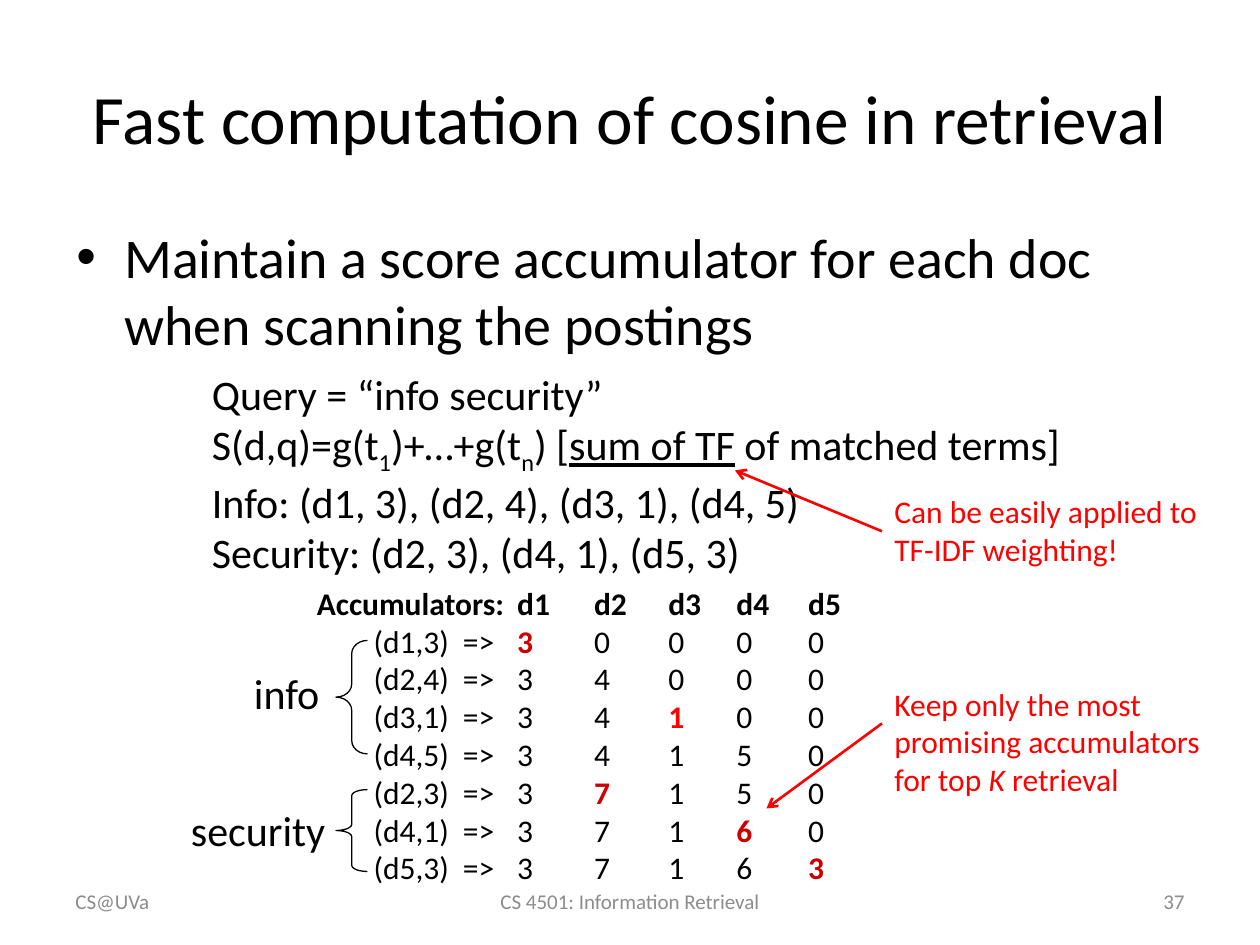
from lxml import etree
from pptx import Presentation
from pptx.dml.color import RGBColor
from pptx.enum.shapes import MSO_CONNECTOR, MSO_SHAPE
from pptx.enum.text import MSO_ANCHOR, PP_ALIGN
from pptx.oxml.ns import qn
from pptx.util import Inches, Pt

LEFT, MID, RIGHT = PP_ALIGN.LEFT, PP_ALIGN.CENTER, PP_ALIGN.RIGHT
TOP, CENTRE = MSO_ANCHOR.TOP, MSO_ANCHOR.MIDDLE
BRACE, LINE = MSO_SHAPE.LEFT_BRACE, MSO_CONNECTOR.STRAIGHT
BLACK, GREY, RED, DARK = "000000", "8C8C8C", "FF0000", "CC0000"
COLS, ROWS = 120, 90  # grid of the slide, twelve cells to the inch

# Postings in scan order: term, document, score, colour of the new total
SCANS = [
    ("info", 1, 3, DARK), ("info", 2, 4, None),
    ("info", 3, 1, RED), ("info", 4, 5, None),
    ("security", 2, 3, DARK), ("security", 4, 1, DARK),
    ("security", 5, 3, DARK),
]
DOCS = 5
TABS = [0.45, 1.16, 1.59, 2.2, 2.79, 3.33, 3.9]  # inches inside the text


def cell(n):
    return Inches(n / 12)


def paint(hue):
    return RGBColor.from_string(hue)


def add_sub(node, tag, **attrs):
    return etree.SubElement(node, qn(tag), attrs)


def add_text(slide, box, paras, size, hue=BLACK, align=LEFT, anchor=TOP):
    """Each paragraph is a list of (text, style) runs."""
    frame = slide.shapes.add_textbox(*map(cell, box)).text_frame
    frame.word_wrap = True
    frame.vertical_anchor = anchor
    for i, runs in enumerate(paras):
        para = frame.paragraphs[0] if i == 0 else frame.add_paragraph()
        para.alignment = align
        font = para.font
        font.name, font.size = "Calibri", Pt(size)
        font.color.rgb = paint(hue)
        for text, style in runs:
            run = para.add_run()
            run.text = text
            if "hue" in style:
                run.font.color.rgb = paint(style["hue"])
            if "base" in style:
                run.font._element.set("baseline", style["base"])
            for key in ("bold", "italic", "underline"):
                if key in style:
                    setattr(run.font, key, style[key])
    return frame


def add_arrow(slide, start, end):
    arrow = slide.shapes.add_connector(LINE, *map(cell, start + end))
    arrow.line.color.rgb = paint(RED)
    arrow.line.width = Pt(1.5)
    add_sub(arrow.line._get_or_add_ln(), "a:tailEnd", type="arrow")
    add_sub(arrow._element.spPr, "a:effectLst")


def add_bullet(slide, box, text):
    para = add_text(slide, box, [[(text, {})]], 32).paragraphs[0]
    props = para._p.get_or_add_pPr()
    props.set("marL", str(Inches(0.38)))
    props.set("indent", str(-Inches(0.38)))
    font = props.find(qn("a:defRPr"))
    for tag, key, value in (("a:buFont", "typeface", "Arial"),
                            ("a:buChar", "char", "•")):
        font.addprevious(add_sub(props, tag, **{key: value}))
    para.space_before = Pt(6.4)


def add_query(slide, box):
    low = {"base": "-25000"}
    add_text(slide, box, [
        [("Query = “info security”", {})],
        [("S(d,q)=g(t", {}), ("1", low), (")+…+g(t", {}), ("n", low),
         (") [", {}), ("sum of TF", {"underline": True}),
         (" of matched terms]", {})],
        [("Info: (d1, 3), (d2, 4), (d3, 1), (d4, 5)", {})],
        [("Security: (d2, 3), (d4, 1), (d5, 3)", {})],
    ], 24)


def add_scores(slide, box):
    """Accumulator values after each posting is scanned."""
    head = "\t".join(["Accumulators:"] + [f"d{d + 1}" for d in range(DOCS)])
    paras = [[(head, {"bold": True})]]
    sums = [0] * DOCS
    for _, doc, score, hue in SCANS:
        sums[doc - 1] += score
        runs = [(f"\t(d{doc},{score})\t=>", {})]
        for d, total in enumerate(sums, 1):
            mark = {"hue": hue, "bold": True} if hue and d == doc else {}
            runs.append((f"\t{total}", mark))
        paras.append(runs)
    frame = add_text(slide, box, paras, 18)
    for i, para in enumerate(frame.paragraphs):
        props = para._p.get_or_add_pPr()
        stops = add_sub(props, "a:tabLst")
        for pos in TABS[2:] if i == 0 else TABS:
            add_sub(stops, "a:tab", pos=str(Inches(pos)), algn="l")
        props.find(qn("a:defRPr")).addprevious(stops)


def add_term(slide, box, name, inset, wide, bend):
    """Brace at the right of the box, with the term's name left of it."""
    x, y, w, h = box
    brace = slide.shapes.add_shape(BRACE, *map(cell, (x + w - 3, y, 3, h)))
    brace.shadow.inherit = False
    brace.fill.background()
    brace.line.color.rgb = paint(BLACK)
    brace.line.width = Pt(0.75)
    brace.adjustments[0] = bend
    add_text(slide, (x, y + inset, wide, 6), [[(name, {})]], 24)


def add_note(slide, box, runs, tip):
    """Red remark whose arrow starts at its left edge."""
    add_text(slide, box, [runs], 18, RED)
    add_arrow(slide, (box[0], box[1] + 4.3), tip)


def add_foot(slide, box):
    x, y, w, h = box
    for left, wide, text, align in (
            (x, 28, "CS@UVa", LEFT),
            (x + w / 2 - 19, 38, "CS 4501: Information Retrieval", MID),
            (x + w - 28, 28, "37", RIGHT)):
        add_text(slide, (left, y, wide, h), [[(text, {})]],
                 12, GREY, align, CENTRE)


def main():
    deck = Presentation()
    deck.slide_width, deck.slide_height = cell(COLS), cell(ROWS)
    slide = deck.slides.add_slide(deck.slide_layouts[6])

    # Title and main point
    add_text(slide, (6, 3.6, 108, 15),
             [[("Fast computation of cosine in retrieval", {})]],
             39.6, BLACK, MID, CENTRE)
    add_bullet(slide, (6.1, 20.6, 108, 59.4),
               "Maintain a score accumulator for each doc "
               "when scanning the postings")

    # Worked example
    add_query(slide, (19, 34.5, 84, 20.6))
    add_scores(slide, (29, 55, 53.5, 34))
    add_term(slide, (23, 61, 12, 10.8), "info", 2, 9, 0.417)
    add_term(slide, (17, 75.2, 18, 7.8), "security", 0.8, 17, 0.194)

    # Remarks
    add_note(slide, (84, 46.3, 33, 8.5),
             [("Can be easily applied to TF-IDF weighting!", {})],
             (70, 44.8))
    add_note(slide, (84, 64.6, 33, 12.1),
             [("Keep only the most promising accumulators for top ", {}),
              ("K", {"italic": True}), (" retrieval", {})],
             (73, 77))

    add_foot(slide, (6, 83.4, 108, 4.8))
    deck.save("out.pptx")


if __name__ == "__main__":
    main()
